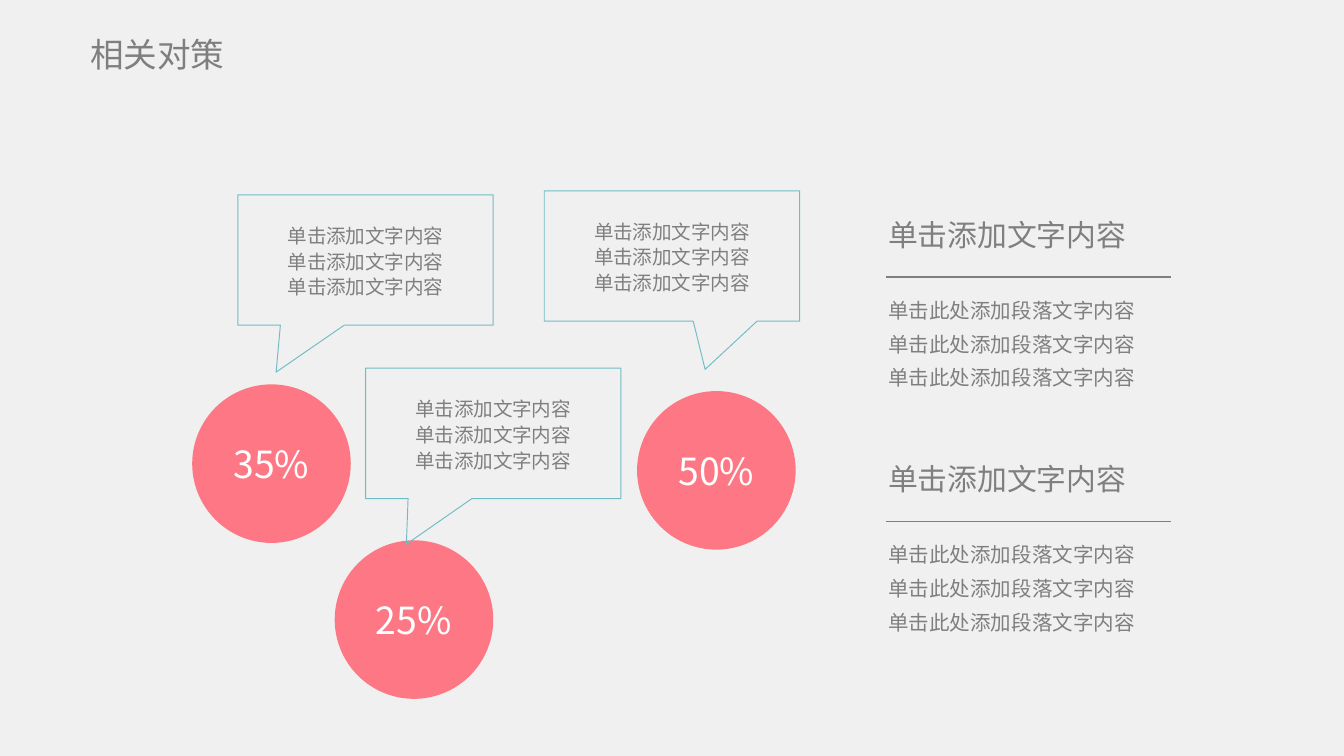
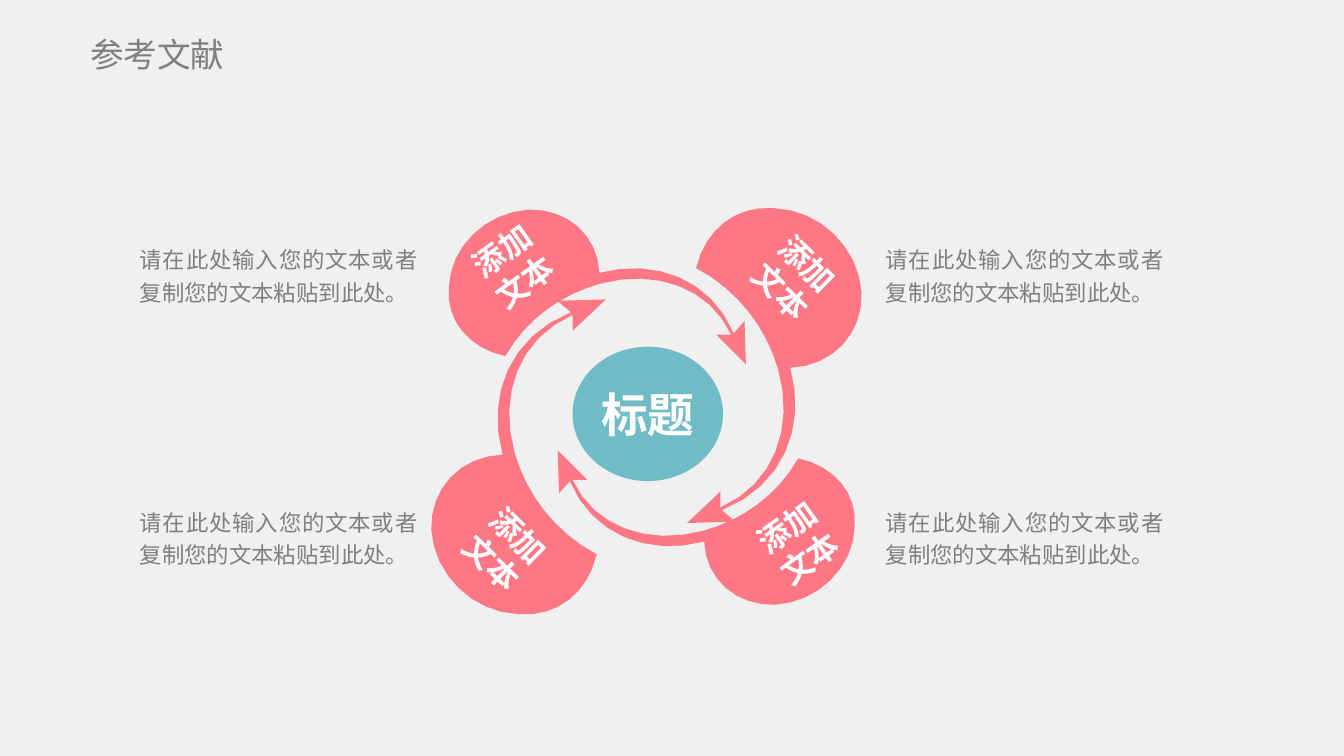
"""Build two slides: countermeasures with callouts, and a four-petal reference cycle."""
import math

import lxml.etree
import pptx
import pptx.dml.color
import pptx.enum.shapes
import pptx.enum.text
import pptx.oxml.ns
import pptx.util

PX = pptx.util.Inches(1) // 100
FONT = "Noto Sans CJK SC"
PAPER = pptx.dml.color.RGBColor(0xF0, 0xF0, 0xF0)
GRAY = pptx.dml.color.RGBColor(0x7F, 0x7F, 0x7F)
PINK = pptx.dml.color.RGBColor(0xFD, 0x77, 0x84)
TEAL = pptx.dml.color.RGBColor(0x70, 0xBC, 0xC6)
WHITE = pptx.dml.color.RGBColor(0xFF, 0xFF, 0xFF)
SHAPES = pptx.enum.shapes.MSO_SHAPE
ALIGN = pptx.enum.text.PP_ALIGN
ANCHOR = pptx.enum.text.MSO_ANCHOR
CURVE_STEPS = 8

BUBBLES = [
    ("35%", (143, 286), (177, 145), (-0.35, 0.86)),
    ("25%", (249, 402), (272, 274), (-0.34, 0.85)),
    ("50%", (474, 291), (405, 142), (0.13, 0.87)),
]
SECTION_TOPS = [156, 338]

PETAL_START = (393, 156)
PETAL_CURVES = [
    [(422, 155), (445, 175), (446, 203)],
    [(488, 192), (529, 208), (546, 248)],
    [(554, 239)], [(555, 271)], [(533, 249)], [(544, 249)],
    [(528, 214), (488, 200), (447, 211)],
    [(418, 219), (392, 237), (376, 265)],
    [(349, 259), (332, 239), (334, 214)],
    [(335, 183), (362, 158), PETAL_START],
]
PETAL_LABELS = [
    ((323, 158, 118, 80), 324.3),
    ((535, 364, 118, 79), 324.3),
    ((532, 170, 118, 73), 44.3),
    ((317, 367, 118, 83), 44.3),
]


def emu(lengths):
    """Turn px lengths into EMU."""
    return [round(length * PX) for length in lengths]


def write(box, lines, size, color=GRAY, bold=False, align=ALIGN.LEFT, anchor=ANCHOR.TOP,
          spacing=None, before=0, insets=(10, 5)):
    """Fill a shape with formatted paragraphs."""
    frame = box.text_frame
    frame.word_wrap = True
    frame.vertical_anchor = anchor
    side, end = emu(insets)
    frame.margin_left = frame.margin_right = side
    frame.margin_top = frame.margin_bottom = end
    for index, line in enumerate(lines):
        para = frame.add_paragraph() if index else frame.paragraphs[0]
        para.alignment = align
        if spacing:
            para.line_spacing = spacing
        if index and before:
            para.space_before = pptx.util.Pt(before)
        span = para.add_run()
        span.text = line
        span.font.size = pptx.util.Pt(size)
        span.font.bold = bold
        span.font.color.rgb = color
        span.font.name = FONT
        east_asian = lxml.etree.SubElement(span._r.get_or_add_rPr(), pptx.oxml.ns.qn("a:ea"))
        east_asian.set("typeface", FONT)


def add_text(page, frame, lines, size, rotation=0, **style):
    """Add a text box."""
    box = page.shapes.add_textbox(*emu(frame))
    box.rotation = rotation
    write(box, lines, size, **style)


def paint(shape, fill):
    """Give a shape a flat fill without outline or shadow."""
    shape.shadow.inherit = False
    shape.fill.solid()
    shape.fill.fore_color.rgb = fill
    shape.line.fill.background()


def add_oval(page, frame, label, size, fill, **style):
    """Add a filled ellipse with a centred label."""
    oval = page.shapes.add_shape(SHAPES.OVAL, *emu(frame))
    paint(oval, fill)
    write(oval, [label], size, color=WHITE, align=ALIGN.CENTER, anchor=ANCHOR.MIDDLE, **style)


def add_callout(page, corner, tip):
    """Add an outlined speech callout pointing at its tip."""
    callout = page.shapes.add_shape(SHAPES.RECTANGULAR_CALLOUT, *emu((*corner, 190, 97)))
    callout.adjustments[0], callout.adjustments[1] = tip
    callout.shadow.inherit = False
    callout.fill.background()
    callout.line.color.rgb = TEAL
    callout.line.width = pptx.util.Pt(0.5)
    write(callout, ["单击添加文字内容"] * 3, 10.5, align=ALIGN.CENTER, anchor=ANCHOR.MIDDLE,
          spacing=1.1)


def add_rule(page, left, right, top):
    """Add a thin horizontal line."""
    rule = page.shapes.add_connector(pptx.enum.shapes.MSO_CONNECTOR.STRAIGHT,
                                     *emu((left, top, right, top)))
    rule.line.color.rgb = GRAY
    rule.line.width = pptx.util.Pt(0.75)
    lxml.etree.SubElement(rule._element.spPr, pptx.oxml.ns.qn("a:effectLst"))


def add_section(page, top):
    """Add a heading, its rule and three lines of body text."""
    add_text(page, (651, top, 243, 37), ["单击添加文字内容"], 16)
    add_rule(page, 659, 871, top + 50)
    add_text(page, (651, top + 57, 243, 95), ["单击此处添加段落文字内容"] * 3, 11,
             spacing=1.2, before=2.2)


def trace(start, segments):
    """List the points along lines and cubic curves."""
    points = [start]
    for segment in segments:
        if len(segment) == 1:
            points += segment
            continue
        knots = [points[-1], *segment]
        for step in range(1, CURVE_STEPS + 1):
            t = step / CURVE_STEPS
            weights = [math.comb(3, k) * t ** k * (1 - t) ** (3 - k) for k in range(4)]
            points.append(tuple(sum(w * knot[axis] for w, knot in zip(weights, knots))
                                for axis in (0, 1)))
    return points


def turn(point, center, degrees):
    """Rotate a point clockwise about a center."""
    angle = math.radians(degrees)
    x, y = point[0] - center[0], point[1] - center[1]
    return (center[0] + x * math.cos(angle) - y * math.sin(angle),
            center[1] + x * math.sin(angle) + y * math.cos(angle))


def quarter_turn(point):
    """Move a point of the upper left petal to the wider upper right one."""
    x, y = point
    return 475 + 1.13 * (303 - y), 315 + 1.06 * (x - 485)


def add_petal(page, points, rotation):
    """Add a rotated petal whose tail is a curved arrow."""
    upright = [turn(point, (0, 0), -rotation) for point in points]
    middle = [(min(axis) + max(axis)) / 2 for axis in zip(*upright)]
    center = turn(middle, (0, 0), rotation)
    outline = [emu(turn(point, center, -rotation)) for point in points]
    builder = page.shapes.build_freeform(*outline[0])
    builder.add_line_segments(outline[1:], close=True)
    petal = builder.convert_to_shape()
    petal.rotation = rotation
    paint(petal, PINK)


def add_petals(page):
    """Add two petals and the half turn of each."""
    first = trace(PETAL_START, PETAL_CURVES)
    second = [quarter_turn(point) for point in first]
    for points, center, rotation in ((first, (485, 303), 322.6), (second, (481, 306), 50.9)):
        add_petal(page, points, rotation)
        add_petal(page, [turn(point, center, 180) for point in points], rotation)


def add_page(deck, title):
    """Add a blank slide with the shared background and title."""
    page = deck.slides.add_slide(deck.slide_layouts[6])
    page.background.fill.solid()
    page.background.fill.fore_color.rgb = PAPER
    add_text(page, (67, 19, 233, 42), [title], 18, anchor=ANCHOR.MIDDLE, insets=(0, 5))
    return page


def build_measures(deck):
    """Build the slide of percentages, callouts and sections."""
    page = add_page(deck, "相关对策")
    for label, circle, corner, tip in BUBBLES:
        add_oval(page, (*circle, 118, 118), label, 20, PINK)
        add_callout(page, corner, tip)
    for top in SECTION_TOPS:
        add_section(page, top)


def build_references(deck):
    """Build the slide with the petal cycle and its notes."""
    page = add_page(deck, "参考文献")
    add_oval(page, (426, 258, 112, 100), "标题", 25, TEAL, bold=True, insets=(0, 0))
    add_petals(page)
    for frame, rotation in PETAL_LABELS:
        add_text(page, frame, ["添加", "文本"], 17, rotation=rotation, color=WHITE, bold=True,
                 align=ALIGN.CENTER, anchor=ANCHOR.MIDDLE, insets=(11, 5))
    for left in (648, 93):
        for top in (155, 350):
            add_text(page, (left, top, 229, 97),
                     ["请在此处输入您的文本或者复制您的文本粘贴到此处。"], 12,
                     align=ALIGN.JUSTIFY, anchor=ANCHOR.MIDDLE, spacing=1.2, insets=(11, 5))


def main():
    """Build and save the deck."""
    deck = pptx.Presentation()
    deck.slide_width = 1000 * PX
    deck.slide_height = deck.slide_width * 9 // 16
    build_measures(deck)
    build_references(deck)
    deck.save("out.pptx")


if __name__ == "__main__":
    main()
